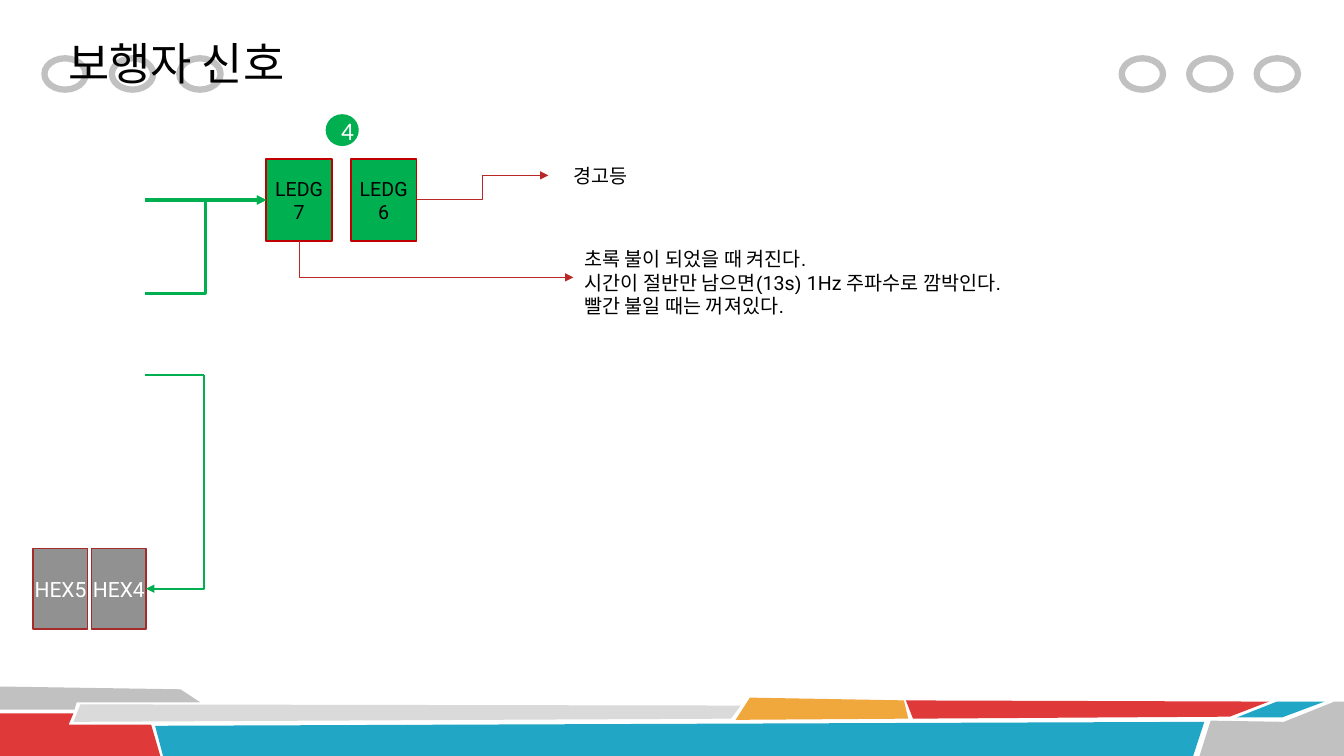
from pptx import Presentation
from pptx import util as u
from pptx.dml.color import RGBColor
from pptx.enum import shapes, text
from pptx.oxml.ns import qn
from lxml import etree

GREEN, RED, GREY, BLACK, WHITE = "00B050", "B92727", "C1C1C1", "000000", "FFFFFF"
RING_STARTS = (1.12, 28.27)
LED_Y, LED_H, HEX_Y, HEX_H = 4.01, 2.06, 13.82, 2.03
LED_MID, HEX_MID = LED_Y + LED_H / 2, HEX_Y + HEX_H / 2
FOOTER_BANDS = [
    (GREY, [(0, 17.3), (4.55, 17.37), (5.05, 17.7), (1.93, 17.7), (1.88, 17.88), (0, 17.88)]),
    ("DF3939", [(0, 17.98), (1.85, 17.98), (1.73, 18.26), (3.81, 18.26), (4.04, 19.05), (0, 19.05)]),
    ("DADADA", [(2.03, 17.75), (18.67, 17.78), (18.42, 18.11), (1.85, 18.19)]),
    ("21A6C5", [(3.91, 18.29), (30.35, 18.19), (30.07, 19.05), (4.11, 19.05)]),
    ("F0A73C", [(18.9, 17.58), (22.78, 17.65), (22.89, 18.11), (18.54, 18.14)]),
    ("DF3939", [(22.83, 17.65), (31.98, 17.68), (30.99, 18.06), (23.01, 18.11)]),
    ("21A6C5", [(32.18, 17.68), (33.38, 17.68), (32.31, 18.08), (31.17, 18.08)]),
    (GREY, [(30.51, 18.16), (32.36, 18.19), (33.63, 17.68), (33.87, 17.68),
            (33.87, 19.05), (30.23, 19.05)]),
]


def rgb(color):
    """Turn a hex string into a colour."""
    return RGBColor.from_string(color)


def cm(*values):
    """Turn numbers into a list of lengths."""
    return [u.Cm(v) for v in values]


def style(sp, fill=None, line=None, width=1.25):
    """Set fill and outline of a shape and drop its shadow."""
    sp.shadow.inherit = False
    if fill:
        sp.fill.solid()
        sp.fill.fore_color.rgb = rgb(fill)
    else:
        sp.fill.background()
    if line:
        sp.line.color.rgb = rgb(line)
        sp.line.width = u.Pt(width)
    else:
        sp.line.fill.background()


def write(tf, lines, size, color=BLACK, align=text.PP_ALIGN.LEFT,
          anchor=text.MSO_ANCHOR.TOP, side=0.25):
    """Write lines of (text, font) runs into a text frame."""
    tf.word_wrap = True
    tf.vertical_anchor = anchor
    tf.margin_left = tf.margin_right = u.Cm(side)
    for i, runs in enumerate(lines):
        p = tf.add_paragraph() if i else tf.paragraphs[0]
        p.alignment = align
        for words, font in runs:
            r = p.add_run()
            r.text = words
            r.font.name, r.font.size = font, u.Pt(size)
            r.font.color.rgb = rgb(color)


def band(s, color, points):
    """Draw one filled polygon of the footer."""
    first, *rest = [cm(*point) for point in points]
    builder = s.shapes.build_freeform(*first)
    builder.add_line_segments(rest)
    style(builder.convert_to_shape(), color)


def ring(s, x):
    """Draw one decorative ring."""
    sp = s.shapes.add_shape(shapes.MSO_SHAPE.OVAL, *cm(x, 1.47, 1.04, 0.79))
    style(sp, None, GREY, 4.5)


def node(s, kind, box, colors, lines, size, color, side):
    """Draw a filled shape with centred text."""
    sp = s.shapes.add_shape(kind, *cm(*box))
    style(sp, *colors)
    write(sp.text_frame, lines, size, color, text.PP_ALIGN.CENTER, text.MSO_ANCHOR.MIDDLE, side)
    return sp


def note(s, box, lines, side=0.25):
    """Add a left-aligned text box."""
    write(s.shapes.add_textbox(*cm(*box)).text_frame, lines, 14, side=side)


def wire(s, kind, start, end, color, width, arrow=True):
    """Draw a connector, with an arrowhead at its end by default."""
    cn = s.shapes.add_connector(kind, *cm(*start, *end))
    cn.line.color.rgb = rgb(color)
    cn.line.width = u.Pt(width)
    spPr = cn.element.spPr
    if arrow:
        etree.SubElement(spPr.find(qn("a:ln")), qn("a:tailEnd"), type="triangle")
    etree.SubElement(spPr, qn("a:effectLst"))
    return cn


def corner(s, start, end, color, width):
    """Draw a one-bend arrow that runs down first and then sideways."""
    (x1, y1), (x2, y2) = start, end
    w, h = abs(y2 - y1), abs(x2 - x1)
    left, top = (x1 + x2 - w) / 2, (y1 + y2 - h) / 2
    rightward = x2 > x1
    x_from, x_to = (left + w, left) if rightward else (left, left + w)
    cn = wire(s, shapes.MSO_CONNECTOR.ELBOW, (x_from, top), (x_to, top + h), color, width)
    spPr = cn.element.spPr
    spPr.find(qn("a:prstGeom")).set("prst", "bentConnector2")
    spPr.find(qn("a:xfrm")).set("rot", str((270 if rightward else 90) * 60000))


def title(s, words):
    """Place and format the title above the rings."""
    sp = s.shapes.title
    sp.left, sp.top, sp.width, sp.height = cm(1.47, 0.76, 7.29, 1.63)
    write(sp.text_frame, [[(words, "Arial")]], 32)
    sp.text_frame.auto_size = text.MSO_AUTO_SIZE.NONE
    s.shapes.element.append(sp.element)


def main():
    """Build the slide and save it."""
    prs = Presentation()
    prs.slide_width, prs.slide_height = cm(33.87, 19.05)
    s = prs.slides.add_slide(prs.slide_layouts[5])
    straight, elbow = shapes.MSO_CONNECTOR.STRAIGHT, shapes.MSO_CONNECTOR.ELBOW
    rect, oval = shapes.MSO_SHAPE.RECTANGLE, shapes.MSO_SHAPE.OVAL

    for color, points in FOOTER_BANDS:
        band(s, color, points)
    for start in RING_STARTS:
        for i in range(3):
            ring(s, start + 1.7 * i)
    title(s, "보행자 신호")

    leds = [node(s, rect, (6.71 + 2.13 * i, LED_Y, 1.66, LED_H), (GREEN, "C00000"),
                 [[("LEDG", "Roboto")], [(digit, "Roboto")]], 14, BLACK, 0.2)
            for i, digit in enumerate("76")]
    for i, digit in enumerate("54"):
        node(s, rect, (0.84 + 1.47 * i, HEX_Y, 1.37, HEX_H), ("919191", "A52A2A"),
             [[("HEX" + digit, "Roboto")]], 15, WHITE, 0)
    node(s, oval, (8.23, 2.9, 0.79, 0.76), (GREEN, GREEN), [[("4", "Calibri")]], 18, WHITE, 0.25)

    note(s, (14.45, 4.01, 9.19, 0.86), [[("경고등", "Arial")]], 0)
    note(s, (14.48, 6.1, 11.63, 2.06), [
        [("초록 불이 되었을 때 켜진다.", "Arial")],
        [("시간이 절반만 남으면(", "Arial"), ("13s", "Roboto"), (") ", "Arial"),
         ("1Hz ", "Roboto"), ("주파수로 깜박인다.", "Arial")],
        [("빨간 불일 때는 꺼져있다.", "Arial")]])

    corner(s, (7.54, LED_Y + LED_H), (14.45, 6.99), RED, 0.75)
    wire(s, elbow, (10.5, LED_MID), (13.82, 4.42), RED, 0.75)
    wire(s, elbow, (3.66, 7.39), (6.71, LED_MID), GREEN, 2.25)
    wire(s, straight, (3.66, LED_MID), (6.71, LED_MID), GREEN, 2.25).end_connect(leds[0], 1)
    wire(s, straight, (3.66, 9.45), (5.13, 9.45), GREEN, 1.5, arrow=False)
    corner(s, (5.13, 9.45), (3.68, HEX_MID), GREEN, 1.5)
    prs.save("out.pptx")


if __name__ == "__main__":
    main()
